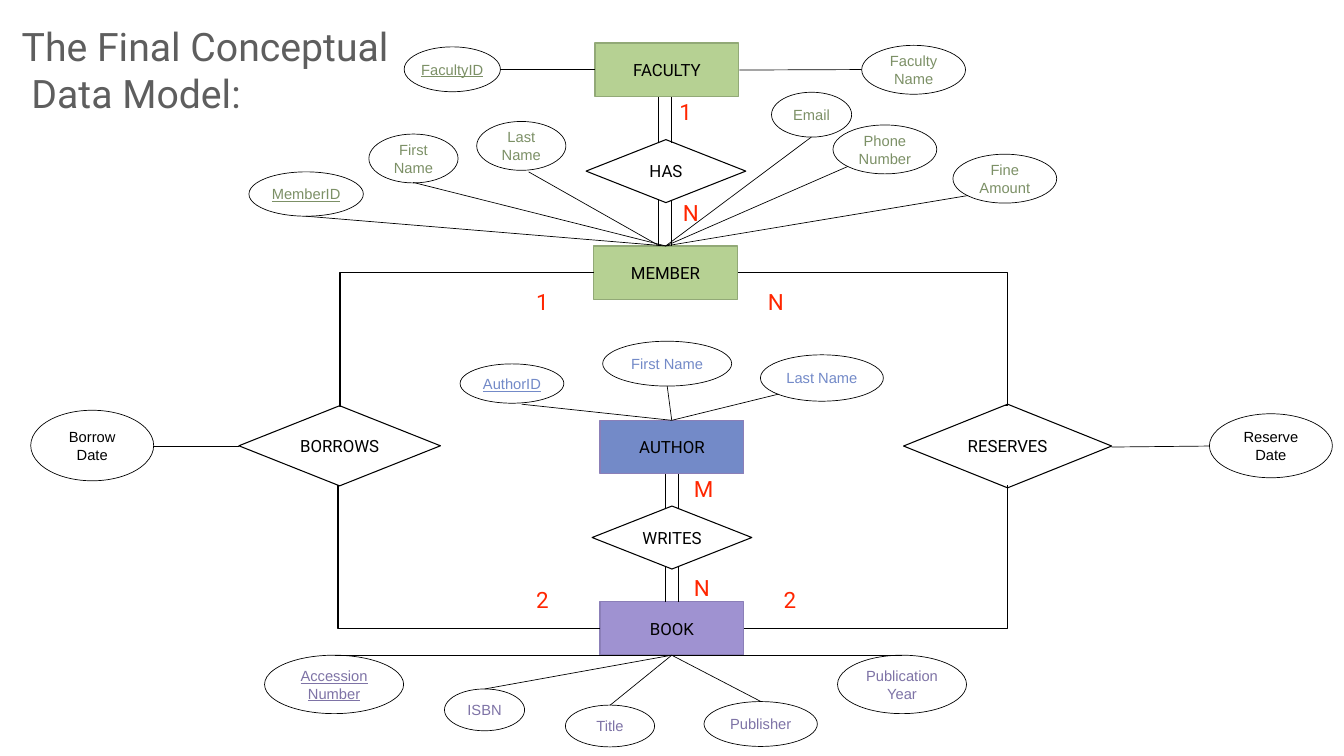
"""Build the conceptual data model slide of a library."""
from lxml import etree
from pptx import Presentation
from pptx.dml.color import RGBColor
from pptx.enum import shapes as kinds, text as txt
from pptx.oxml import ns
from pptx.util import Inches, Pt

BLACK = RGBColor(0x00, 0x00, 0x00)
WHITE = RGBColor(0xFF, 0xFF, 0xFF)
GREY = RGBColor(0x5E, 0x5E, 0x5E)
RED = RGBColor(0xFF, 0x26, 0x00)
GREEN = RGBColor(0xB6, 0xD1, 0x93)
MOSS = RGBColor(0x92, 0xA9, 0x77)
OLIVE = RGBColor(0x7C, 0x90, 0x66)
BLUE = RGBColor(0x73, 0x8A, 0xC8)
LILAC = RGBColor(0x9F, 0x92, 0xD1)
PLUM = RGBColor(0x8B, 0x7F, 0xB8)
VIOLET = RGBColor(0x7E, 0x73, 0xA6)

deck = Presentation()
deck.slide_width, deck.slide_height = Inches(26.67), Inches(15)
slide = deck.slides.add_slide(deck.slide_layouts[5])
parts = slide.shapes


def write(shape, lines, size, font, color, align=txt.PP_ALIGN.CENTER, wrap=True, under=False):
    frame = shape.text_frame
    frame.word_wrap = wrap
    frame.auto_size = txt.MSO_AUTO_SIZE.NONE
    frame.vertical_anchor = txt.MSO_ANCHOR.MIDDLE
    frame.margin_left = frame.margin_right = Inches(0.06)
    frame.margin_top = frame.margin_bottom = Inches(0.06)
    for i, line in enumerate(lines):
        para = frame.add_paragraph() if i else frame.paragraphs[0]
        para.alignment = align
        run = para.add_run()
        run.text = line
        run.font.size, run.font.name = Pt(size), font
        run.font.color.rgb = color
        if under:
            run.font.underline = True


def paint(shape, fill, edge, width):
    shape.shadow.inherit = False
    shape.fill.solid()
    shape.fill.fore_color.rgb = fill
    shape.line.color.rgb = edge
    shape.line.width = Pt(width)


title = parts.title
title.left, title.top = Inches(0.37), Inches(0.41)
title.width, title.height = Inches(7.5), Inches(1.95)
write(title, ["The Final Conceptual", " Data Model:"], 56, "Roboto", GREY, txt.PP_ALIGN.LEFT)
title.text_frame.margin_right = 0

entities = [
    ("FACULTY", 11.81, 0.85, GREEN, MOSS),
    ("MEMBER", 11.78, 4.88, GREEN, MOSS),
    ("AUTHOR", 11.91, 8.34, BLUE, PLUM),
    ("BOOK", 11.91, 11.94, LILAC, PLUM),
]
for name, x, y, fill, edge in entities:
    box = parts.add_shape(kinds.MSO_SHAPE.RECTANGLE, Inches(x), Inches(y), Inches(2.85), Inches(1.06))
    paint(box, fill, edge, 2)
    write(box, [name], 24, "Roboto", BLACK)

links = [
    ("HAS", 11.63, 2.77, 3.17, 1.25),
    ("WRITES", 11.75, 10.04, 3.17, 1.25),
    ("BORROWS", 4.74, 8.05, 4, 1.59),
    ("RESERVES", 17.93, 8.02, 4.13, 1.66),
]
for name, x, y, w, h in links:
    pen = parts.build_freeform(Inches(x), Inches(y + h / 2))
    corners = [(x + w / 2, y + h), (x + w, y + h / 2), (x + w / 2, y)]
    pen.add_line_segments([(Inches(a), Inches(b)) for a, b in corners], close=True)
    gem = pen.convert_to_shape()
    paint(gem, WHITE, BLACK, 1.5)
    write(gem, [name], 24, "Roboto", BLACK)

traits = {
    OLIVE: [
        ("FacultyID", 8.02, 0.93, 1.91, 0.89),
        ("Faculty Name", 17.1, 0.9, 2.06, 0.97),
        ("MemberID", 4.94, 3.41, 2.27, 0.88),
        ("First Name", 7.32, 2.66, 1.77, 0.97),
        ("Last Name", 9.46, 2.41, 1.77, 0.97),
        ("Email", 15.31, 1.83, 1.59, 0.89),
        ("Phone Number", 16.53, 2.48, 2.06, 0.97),
        ("Fine Amount", 18.91, 3.06, 2.06, 0.97),
    ],
    BLUE: [
        ("AuthorID", 9.13, 7.22, 2.06, 0.78),
        ("First Name", 11.96, 6.77, 2.56, 0.89),
        ("Last Name", 15.09, 7.04, 2.44, 0.92),
    ],
    VIOLET: [
        ("Accession Number", 5.25, 13, 2.76, 1.16),
        ("ISBN", 8.82, 13.67, 1.59, 0.83),
        ("Title", 11.22, 13.99, 1.77, 0.83),
        ("Publisher", 13.97, 13.92, 2.25, 0.89),
        ("Publication Year", 16.62, 13, 2.56, 1.16),
    ],
    BLACK: [
        ("Borrow Date", 0.61, 8.14, 2.44, 1.4),
        ("Reserve Date", 24, 8.21, 2.44, 1.27),
    ],
}
keys = {"FacultyID", "MemberID", "AuthorID", "Accession Number"}
for color, group in traits.items():
    for name, x, y, w, h in group:
        oval = parts.add_shape(kinds.MSO_SHAPE.OVAL, Inches(x), Inches(y), Inches(w), Inches(h))
        paint(oval, WHITE, BLACK, 1)
        write(oval, [name], 21, "Arial", color, wrap=" " in name, under=name in keys)

counts = [
    ("1", 13.42, 1.89, 0.37), ("N", 13.49, 3.9, 0.45),
    ("1", 10.58, 5.67, 0.37), ("N", 15.18, 5.67, 0.45),
    ("M", 13.71, 9.37, 0.51), ("N", 13.71, 11.34, 0.45),
    ("2", 10.58, 11.59, 0.37), ("2", 15.49, 11.59, 0.37),
]
for mark, x, y, w in counts:
    label = parts.add_textbox(Inches(x), Inches(y), Inches(w), Inches(0.63))
    write(label, [mark], 32, "Roboto", RED, txt.PP_ALIGN.LEFT, wrap=False)

fans = [
    (13.21, 4.88, [(6.07, 4.29), (8.2, 3.62), (16.1, 2.72), (16.83, 3.3), (19.21, 3.88)]),
    (13.07, 4.87, [(10.49, 3.41)]),
    (13.33, 8.34, [(10.35, 8.02), (13.24, 7.66), (15.45, 7.82)]),
    (13.33, 13, [(6.64, 13), (9.62, 13.67), (12.11, 13.99), (15.1, 13.92), (17.9, 13)]),
    (11.81, 1.38, [(9.93, 1.38)]),
    (14.67, 1.39, [(17.1, 1.38)]),
    (4.74, 8.85, [(3.05, 8.85)]),
    (22.06, 8.87, [(24, 8.85)]),
]
wires = [(a, b, x, y, 1, None) for x, y, ends in fans for a, b in ends]

pairs = [(13.07, 1.92, 2.83), (13.07, 3.97, 4.88), (13.21, 9.41, 10.1), (13.21, 11.24, 11.94)]
for x, top, low in pairs:
    wires += [(x + gap, low, x + gap, top, 2, None) for gap in (0, 0.26)]

wires += [
    (6.78, 8.07, 11.78, 5.41, 2, 6.75),
    (11.91, 12.47, 6.68, 9.64, 2, 6.71),
    (19.94, 8.05, 14.64, 5.41, 2, 20),
    (14.76, 12.47, 19.99, 9.62, 2, 19.99),
]
for x1, y1, x2, y2, width, bend in wires:
    kind = kinds.MSO_CONNECTOR.ELBOW if bend else kinds.MSO_CONNECTOR.STRAIGHT
    wire = parts.add_connector(kind, Inches(x1), Inches(y1), Inches(x2), Inches(y2))
    wire.line.color.rgb = BLACK
    wire.line.width = Pt(width)
    props = wire._element.spPr
    etree.SubElement(props, ns.qn("a:effectLst"))
    if bend:
        ratio = round((bend - x1) / (x2 - x1) * 100000)
        guides = props.find(ns.qn("a:prstGeom")).get_or_add_avLst()
        etree.SubElement(guides, ns.qn("a:gd"), name="adj1", fmla=f"val {ratio}")

deck.save("out.pptx")
